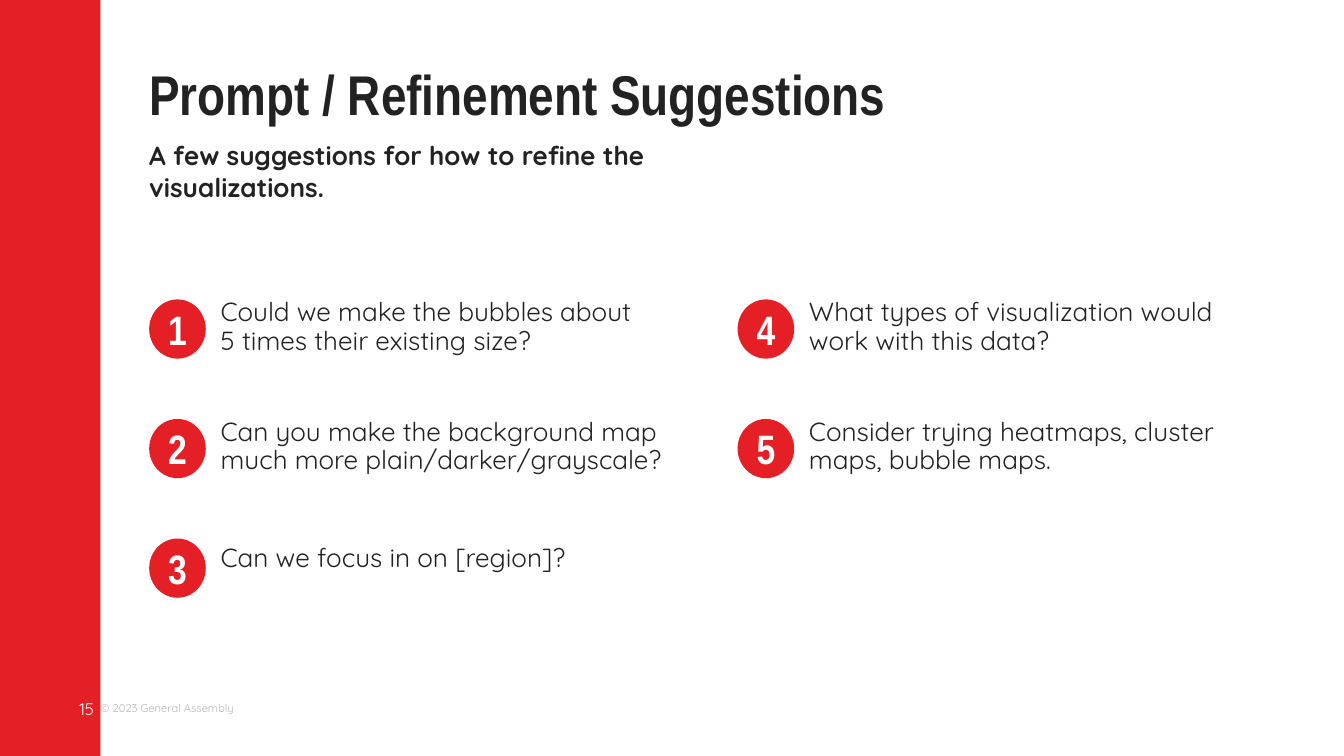
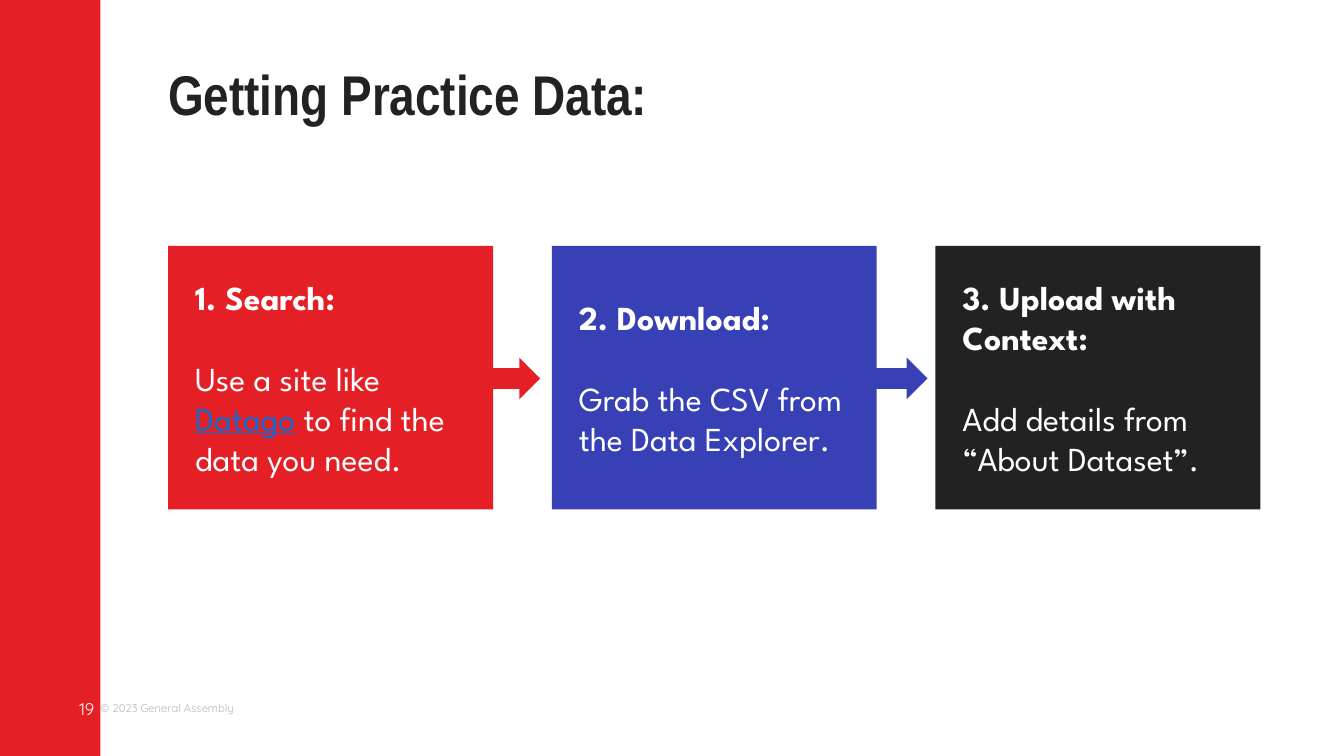
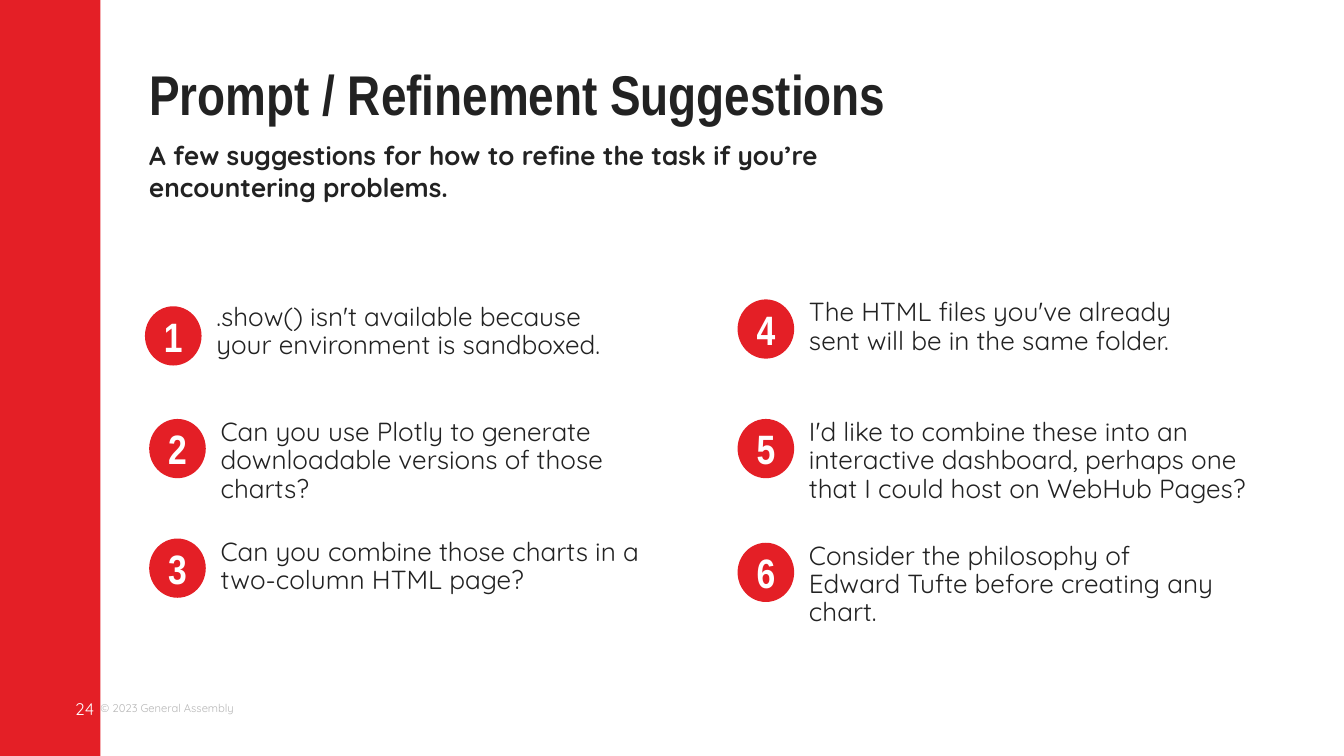
import pptx
import pptx.util
import pptx.dml.color
import pptx.enum.shapes
import pptx.enum.text
from lxml import etree

Cm, Pt = pptx.util.Cm, pptx.util.Pt
SHAPE = pptx.enum.shapes.MSO_SHAPE
ALIGN = pptx.enum.text.PP_ALIGN
ANCHOR = pptx.enum.text.MSO_ANCHOR

COLORS = {"red": "E41F26", "blue": "3740B5", "ink": "222222",
          "white": "FFFFFF", "gray": "B7B7B7", "link": "0F6AD2"}
HEAD, BODY, STEP = "Arial Narrow", "Quicksand", "League Spartan"

# Numbered list grid, in cm
COLUMNS = (2.82, 13.94)
FIRST_ROW, ROW_STEP = 5.66, 2.26
ROW_TEXT_SIZES = ((7.92, 1.27), (8.56, 0.89), (7.92, 0.89))


def rgb(name):
    return pptx.dml.color.RGBColor.from_string(COLORS[name])


def style(font, name, size, color, bold=False):
    font.name, font.size, font.bold = name, Pt(size), bold
    font.color.rgb = rgb(color)


def set_frame(tf, anchor=ANCHOR.TOP, inset=0):
    tf.word_wrap = True
    tf.auto_size = pptx.enum.text.MSO_AUTO_SIZE.NONE
    tf.vertical_anchor = anchor
    tf.margin_left = tf.margin_right = tf.margin_top = tf.margin_bottom = Cm(inset)


def place(sp, left, top, width, height):
    sp.left, sp.top, sp.width, sp.height = Cm(left), Cm(top), Cm(width), Cm(height)


def write(sp, text, font, size, color, bold=False, align=ALIGN.LEFT,
          anchor=ANCHOR.TOP, spacing=1.0):
    tf = sp.text_frame
    set_frame(tf, anchor)
    tf.text = text
    p = tf.paragraphs[0]
    p.alignment, p.line_spacing = align, spacing
    style(p.runs[0].font, font, size, color, bold)
    return p


def add_text(s, box, text, font, size, color, **options):
    sp = s.shapes.add_textbox(*map(Cm, box))
    return write(sp, text, font, size, color, **options)


def add_block(s, kind, box, color):
    sp = s.shapes.add_shape(kind, *map(Cm, box))
    sp.shadow.inherit = False
    sp.fill.solid()
    sp.fill.fore_color.rgb = rgb(color)
    sp.line.fill.background()
    return sp


def add_slide(prs, layout, number, title, title_box):
    s = prs.slides.add_slide(prs.slide_layouts[layout])
    # Side band, copyright line and page number
    add_block(s, SHAPE.RECTANGLE, (0, 0, 1.9, 14.29), "red")
    add_text(s, (1.9, 13.13, 2.54, 0.51), "© 2023 General Assembly", BODY, 6,
             "gray", anchor=ANCHOR.MIDDLE)
    add_text(s, (0.89, 12.95, 0.89, 0.89), str(number), BODY, 9, "white",
             align=ALIGN.RIGHT, anchor=ANCHOR.MIDDLE)
    place(s.shapes.title, *title_box)
    write(s.shapes.title, title, HEAD, 30, "ink", bold=True, spacing=0.9)
    return s


def add_subtitle(s, text, width, height):
    sp = s.placeholders[1]
    place(sp, COLUMNS[0], 2.64, width, height)
    p = write(sp, text, BODY, 14, "ink", bold=True)
    p.space_before, p.space_after = Pt(0), Pt(10)
    pPr = p._p.get_or_add_pPr()
    pPr.set("marL", "0")
    pPr.set("indent", "0")
    etree.SubElement(pPr, pptx.oxml.ns.qn("a:buNone"))


def add_item(s, number, text, badge_shift=(0, 0), text_drop=0):
    column, row = divmod(number - 1, 3)
    left = COLUMNS[column] + badge_shift[0]
    top = FIRST_ROW + row * ROW_STEP
    badge = add_block(s, SHAPE.OVAL, (left, top + badge_shift[1], 1.07, 1.12), "red")
    write(badge, str(number), HEAD, 22, "white", bold=True,
          align=ALIGN.CENTER, anchor=ANCHOR.MIDDLE)
    add_text(s, (left + 1.35, top + text_drop, *ROW_TEXT_SIZES[row]), text,
             BODY, 14, "ink", spacing=0.9)


def add_suggestions(prs, number, subtitle, subtitle_size, items):
    s = add_slide(prs, 1, number, "Prompt / Refinement Suggestions",
                  (COLUMNS[0], 1.27, 15.11, 1.27))
    add_subtitle(s, subtitle, *subtitle_size)
    for i, (text, *shifts) in enumerate(items, 1):
        add_item(s, i, text, *shifts)


def add_step(s, index, color, heading, parts):
    sp = add_block(s, SHAPE.RECTANGLE, (3.18 + index * 7.25, 4.65, 6.14, 4.98), color)
    tf = sp.text_frame
    set_frame(tf, ANCHOR.MIDDLE, 0.51)
    tf.text = heading
    style(tf.paragraphs[0].runs[0].font, STEP, 18, "white", bold=True)
    p = tf.add_paragraph()
    p.space_before = Pt(21.6)
    for text, is_link in parts:
        r = p.add_run()
        r.text = text
        style(r.font, STEP, 18, "link" if is_link else "white")
        r.font.underline = is_link
    for p in tf.paragraphs:
        p.alignment = ALIGN.LEFT


def add_practice_data(prs):
    s = add_slide(prs, 5, 19, "Getting Practice Data:", (3.18, 1.27, 17.15, 1.14))
    steps = [
        ("red", "1. Search:", [("Use a site like ", False), ("Datago", True),
                               (" to find the data you need.", False)]),
        ("blue", "2. Download:", [("Grab the CSV from the Data Explorer.", False)]),
        ("ink", "3. Upload with Context:",
         [("Add details from “About Dataset”.", False)]),
    ]
    for i, step in enumerate(steps):
        add_step(s, i, *step)
    # Arrows between the steps
    for i, (color, *_) in enumerate(steps[:-1]):
        add_block(s, SHAPE.RIGHT_ARROW, (9.14 + i * 7.32, 6.76, 1.07, 0.79), color)


def main():
    prs = pptx.Presentation()
    prs.slide_width, prs.slide_height = Cm(25.4), Cm(14.29)

    add_suggestions(
        prs, 15, "A few suggestions for how to refine the visualizations.",
        (11.96, 2.64), [
            ("Could we make the bubbles about 5 times their existing size?",),
            ("Can you make the background map much more plain/darker/grayscale?",),
            ("Can we focus in on [region]?", (0, 0), 0.13),
            ("What types of visualization would work with this data?",),
            ("Consider trying heatmaps, cluster maps, bubble maps.",),
        ])
    add_practice_data(prs)
    add_suggestions(
        prs, 24,
        "A few suggestions for how to refine the task if you’re encountering problems.",
        (12.9, 1.27), [
            (".show() isn't available because your environment is sandboxed.",
             (-0.08, 0.13), 0.08),
            ("Can you use Plotly to generate downloadable versions of those charts?",),
            ("Can you combine those charts in a two-column HTML page?",),
            ("The HTML files you've already sent will be in the same folder.",),
            ("I'd like to combine these into an interactive dashboard, "
             "perhaps one that I could host on WebHub Pages?",),
            ("Consider the philosophy of Edward Tufte before creating any chart.",
             (0, 0.08), 0.08),
        ])
    prs.save("out.pptx")


if __name__ == "__main__":
    main()
